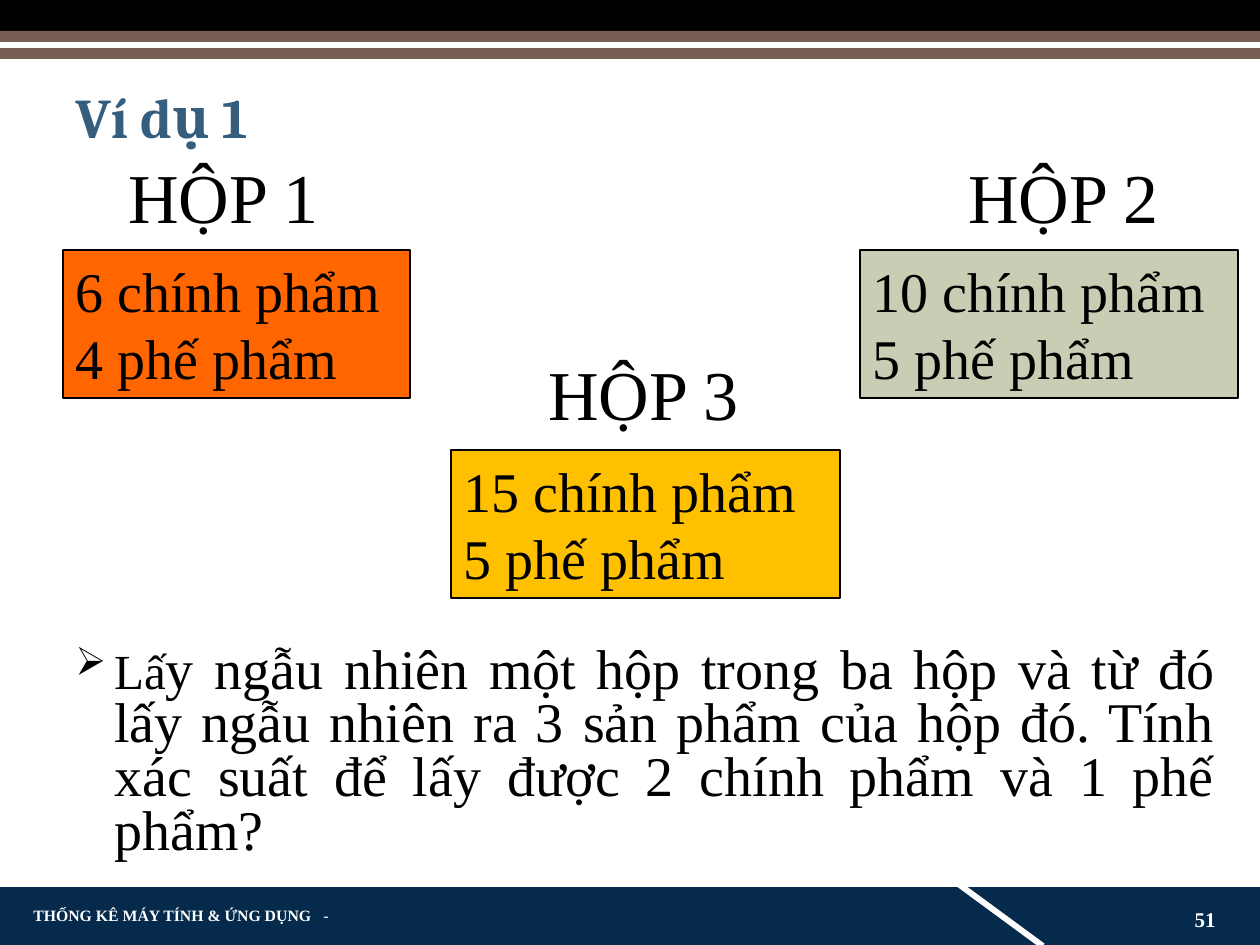
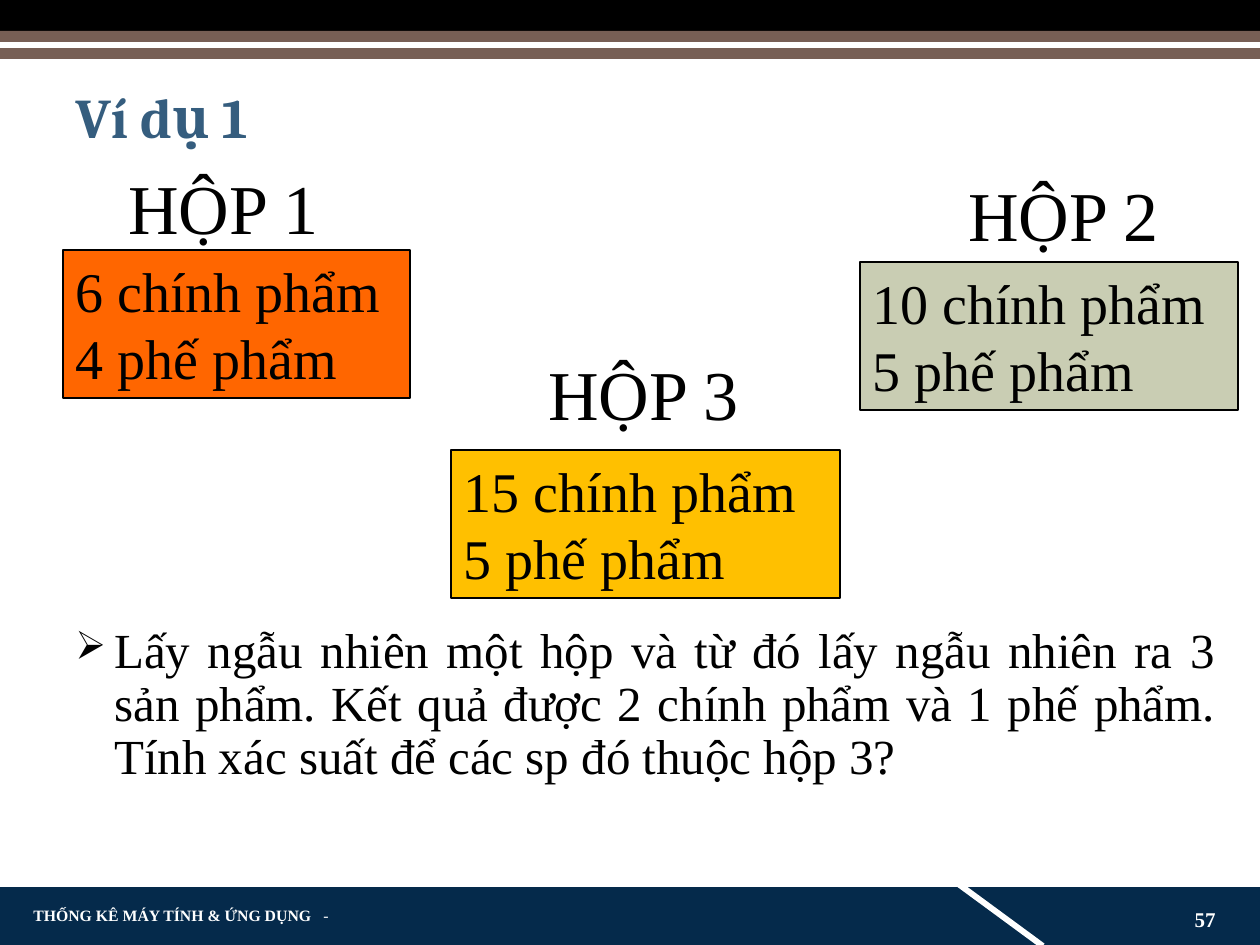
from dataclasses import dataclass

from lxml import etree
from pptx import Presentation
from pptx.dml.color import RGBColor
from pptx.enum.shapes import MSO_SHAPE
from pptx.enum.text import MSO_ANCHOR, MSO_AUTO_SIZE, PP_ALIGN
from pptx.oxml.ns import qn
from pptx.shapes.autoshape import Shape
from pptx.slide import Slide
from pptx.text.text import TextFrame, _Paragraph
from pptx.util import Emu, Pt

RECTANGLE = MSO_SHAPE.RECTANGLE
TOP, MIDDLE = MSO_ANCHOR.TOP, MSO_ANCHOR.MIDDLE
NO_AUTOFIT = MSO_AUTO_SIZE.NONE
LEFT, RIGHT, JUSTIFY = PP_ALIGN.LEFT, PP_ALIGN.RIGHT, PP_ALIGN.JUSTIFY

BLACK = RGBColor(0x00, 0x00, 0x00)
WHITE = RGBColor(0xFF, 0xFF, 0xFF)
NAVY = RGBColor(0x05, 0x2A, 0x4B)
BROWN = RGBColor(0x77, 0x5F, 0x55)
TITLE_BLUE = RGBColor(0x35, 0x5D, 0x7E)
ORANGE = RGBColor(0xFF, 0x66, 0x00)
AMBER = RGBColor(0xFF, 0xC0, 0x00)
SAGE = RGBColor(0xC9, 0xCD, 0xB3)

TITLE_FONT = "Cambria"
BODY_FONT = "Times New Roman"
PX_PER_INCH = 126
SLIDE_WIDTH, SLIDE_HEIGHT = 1260, 945
TITLE_ONLY = 5
BOX_HEIGHT = 148
LABEL_WIDTH, LABEL_HEIGHT = 220, 97
QUESTION_INDENT = 39
FOOTER_TAB = 290


@dataclass(frozen=True)
class Area:
    x: int
    y: int
    width: int
    height: int


@dataclass(frozen=True)
class Band:
    area: Area
    color: RGBColor
    rotation: float = 0


@dataclass(frozen=True)
class Piece:
    text: str
    size: float
    color: RGBColor = BLACK
    bold: bool = False
    font: str = BODY_FONT


@dataclass(frozen=True)
class Box:
    label: str
    label_x: int
    x: int
    width: int
    color: RGBColor
    contents: tuple[str, str]


@dataclass(frozen=True)
class Example:
    number: str
    label_tops: tuple[int, int, int]
    box_tops: tuple[int, int, int]
    question_area: Area
    line_spacing: float
    question: tuple[Piece, ...]


BANDS = (
    Band(Area(0, 887, SLIDE_WIDTH, 58), NAVY),
    Band(Area(948, 912, 105, 6), WHITE, 36.3),
    Band(Area(0, 0, SLIDE_WIDTH, 31), BLACK),
    Band(Area(0, 31, SLIDE_WIDTH, 28), BROWN),
    Band(Area(0, 42, SLIDE_WIDTH, 6), WHITE),
)

BOXES = (
    Box("HỘP 1", 116, 63, 347, ORANGE, ("6 chính phẩm", "4 phế phẩm")),
    Box("HỘP 3", 536, 451, 389, AMBER, ("15 chính phẩm", "5 phế phẩm")),
    Box("HỘP 2", 956, 860, 378, SAGE, ("10 chính phẩm", "5 phế phẩm")),
)

EXAMPLES = (
    Example(
        "51", (147, 344, 147), (250, 450, 250), Area(63, 640, 1165, 242), 0.8,
        (
            Piece("Lấ", 28),
            Piece("y ngẫu nhiên một hộp trong ba hộp và từ đó lấy ngẫu nhiên ra "
                  "3 sản phẩm của hộp đó. Tính xác suất để lấy được 2 chính phẩm "
                  "và 1 phế phẩm?", 32),
        ),
    ),
    Example(
        "57", (158, 344, 165), (250, 450, 262), Area(63, 620, 1165, 262), 0.9,
        (
            Piece("Lấy ngẫu nhiên một hộp và từ đó lấy ngẫu nhiên ra 3 sản phẩm. "
                  "Kết quả được 2 chính phẩm và 1 phế phẩm. Tính xác suất để các "
                  "sp đó thuộc hộp 3?", 28),
        ),
    ),
)


def px(length: int) -> Emu:
    return Emu(round(length * 914400 / PX_PER_INCH))


def corners(area: Area) -> tuple[Emu, Emu, Emu, Emu]:
    return px(area.x), px(area.y), px(area.width), px(area.height)


def write(paragraph: _Paragraph, *pieces: Piece) -> None:
    for piece in pieces:
        run = paragraph.add_run()
        run.text = piece.text
        run.font.name = piece.font
        run.font.size = Pt(piece.size)
        run.font.bold = piece.bold
        run.font.color.rgb = piece.color


def prepare(frame: TextFrame, anchor: MSO_ANCHOR = TOP) -> _Paragraph:
    frame.word_wrap = True
    frame.auto_size = NO_AUTOFIT
    frame.vertical_anchor = anchor
    paragraph = frame.paragraphs[0]
    paragraph.alignment = LEFT
    return paragraph


def add_text(slide: Slide, area: Area, *pieces: Piece,
             anchor: MSO_ANCHOR = TOP) -> _Paragraph:
    paragraph = prepare(slide.shapes.add_textbox(*corners(area)).text_frame, anchor)
    write(paragraph, *pieces)
    return paragraph


def add_rectangle(slide: Slide, area: Area, color: RGBColor) -> Shape:
    rectangle = slide.shapes.add_shape(RECTANGLE, *corners(area))
    rectangle.shadow.inherit = False
    rectangle.fill.solid()
    rectangle.fill.fore_color.rgb = color
    rectangle.line.fill.background()
    return rectangle


def add_frame(slide: Slide, number: str) -> None:
    for band in BANDS:
        add_rectangle(slide, band.area, band.color).rotation = band.rotation
    course = add_text(
        slide, Area(21, 903, 325, 25),
        Piece("THỐNG KÊ MÁY TÍNH & ỨNG DỤNG", 9, WHITE, True),
        Piece("\t-", 9, WHITE), anchor=MIDDLE,
    )
    tabs = etree.SubElement(course._p.get_or_add_pPr(), qn("a:tabLst"))
    etree.SubElement(tabs, qn("a:tab"), pos=str(px(FOOTER_TAB)), algn="l")
    page = add_text(slide, Area(1131, 903, 97, 32), Piece(number, 12, WHITE, True),
                    anchor=MIDDLE)
    page.alignment = RIGHT


def add_title(slide: Slide, text: str) -> None:
    title = slide.shapes.title
    title.left, title.top, title.width, title.height = corners(Area(63, 84, 1140, 129))
    heading = prepare(title.text_frame)
    heading.line_spacing = 0.9
    write(heading, Piece(text, 32, TITLE_BLUE, True, TITLE_FONT))


def add_box(slide: Slide, box: Box, label_top: int, box_top: int) -> None:
    rectangle = add_rectangle(
        slide, Area(box.x, box_top, box.width, BOX_HEIGHT), box.color)
    rectangle.line.color.rgb = BLACK
    rectangle.line.width = Pt(0.75)
    good = prepare(rectangle.text_frame)
    defective = rectangle.text_frame.add_paragraph()
    defective.alignment = LEFT
    for paragraph, text in zip((good, defective), box.contents):
        write(paragraph, Piece(text, 32))
    add_text(slide, Area(box.label_x, label_top, LABEL_WIDTH, LABEL_HEIGHT),
             Piece(box.label, 40))


def add_question(slide: Slide, example: Example) -> None:
    question = add_text(slide, example.question_area, *example.question)
    question.alignment = JUSTIFY
    question.line_spacing = example.line_spacing
    question.space_before = Pt(13.5)
    properties = question._p.get_or_add_pPr()
    properties.set("marL", str(px(QUESTION_INDENT)))
    properties.set("indent", str(-px(QUESTION_INDENT)))
    bullet_color = etree.SubElement(properties, qn("a:buClr"))
    etree.SubElement(bullet_color, qn("a:srgbClr"), val=str(BLACK))
    etree.SubElement(properties, qn("a:buSzPct"), val="80000")
    etree.SubElement(properties, qn("a:buChar"), char="➢")


def main() -> None:
    presentation = Presentation()
    presentation.slide_width = px(SLIDE_WIDTH)
    presentation.slide_height = px(SLIDE_HEIGHT)
    for example in EXAMPLES:
        slide = presentation.slides.add_slide(presentation.slide_layouts[TITLE_ONLY])
        add_frame(slide, example.number)
        add_title(slide, "Ví dụ 1")
        add_question(slide, example)
        for box, label_top, box_top in zip(BOXES, example.label_tops, example.box_tops):
            add_box(slide, box, label_top, box_top)
    presentation.save("out.pptx")


if __name__ == "__main__":
    main()
